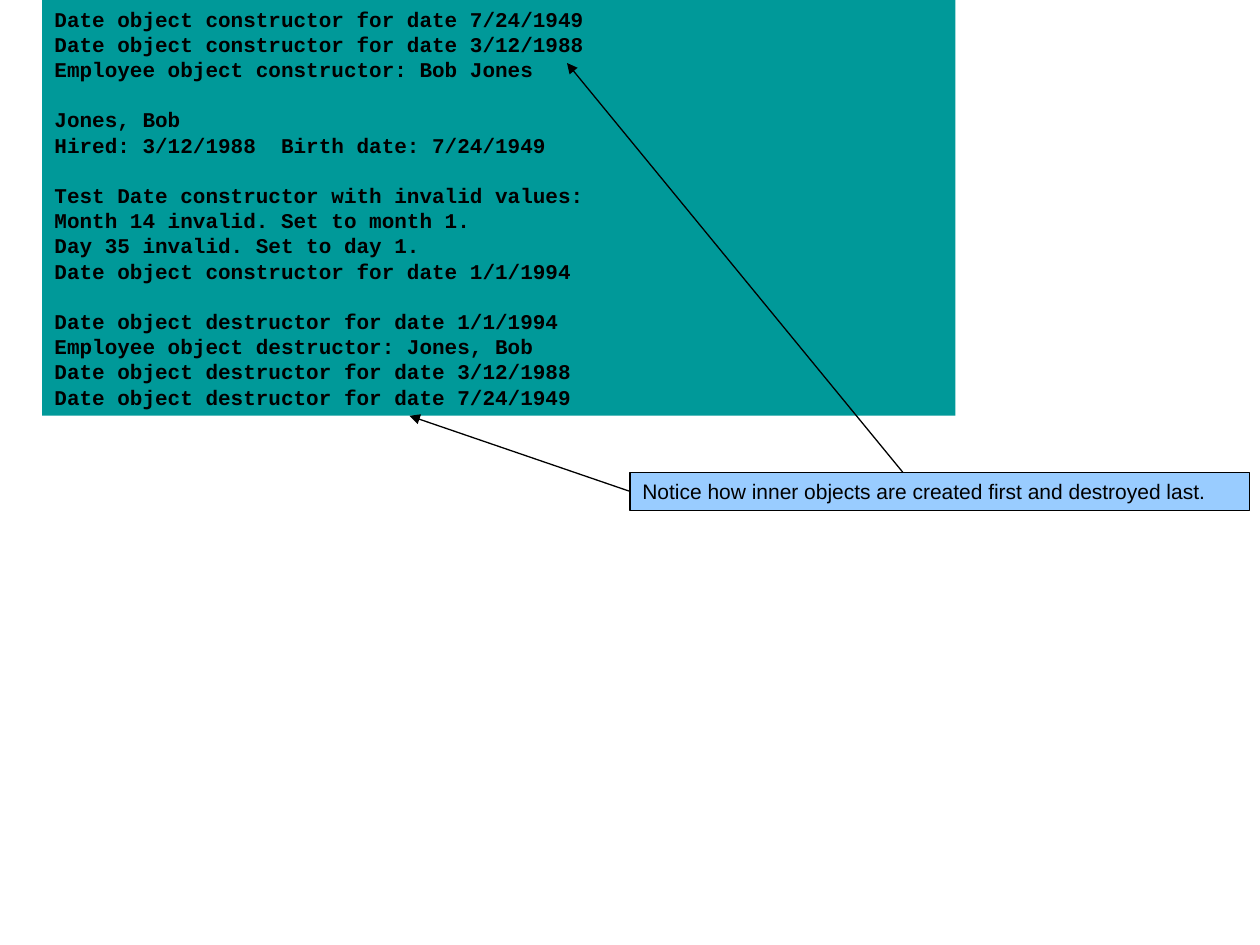
import pptx
import pptx.util
import pptx.dml.color
import pptx.enum.shapes
import pptx.enum.text
import pptx.oxml.ns
import lxml.etree

COLORS = {"output": "009999", "note": "99CCFF", "ink": "000000"}
COLS, ROWS = 120, 90
LINE_PITCH = 14.4
LEFT_SIDE = 1

OUTPUT_BLOCKS = [
    ["Date object constructor for date 7/24/1949",
     "Date object constructor for date 3/12/1988",
     "Employee object constructor: Bob Jones"],
    ["Jones, Bob",
     "Hired: 3/12/1988  Birth date: 7/24/1949"],
    ["Test Date constructor with invalid values:",
     "Month 14 invalid. Set to month 1.",
     "Day 35 invalid. Set to day 1.",
     "Date object constructor for date 1/1/1994"],
    ["Date object destructor for date 1/1/1994",
     "Employee object destructor: Jones, Bob",
     "Date object destructor for date 3/12/1988",
     "Date object destructor for date 7/24/1949"],
]
NOTE = "Notice how inner objects are created first and destroyed last."

prs = pptx.Presentation()
prs.slide_width = pptx.util.Inches(10)
prs.slide_height = pptx.util.Inches(7.5)


def col(n):
    return round(prs.slide_width * n / COLS)


def row(n):
    return round(prs.slide_height * n / ROWS)


def rgb(name):
    return pptx.dml.color.RGBColor.from_string(COLORS[name])


def add_panel(shapes, box, fill):
    left, top, width, height = box
    sp = shapes.add_shape(pptx.enum.shapes.MSO_SHAPE.RECTANGLE,
                          col(left), row(top), col(width), row(height))
    sp.shadow.inherit = False
    sp.fill.solid()
    sp.fill.fore_color.rgb = rgb(fill)
    sp.line.fill.background()
    tf = sp.text_frame
    tf.word_wrap = True
    tf.auto_size = pptx.enum.text.MSO_AUTO_SIZE.SHAPE_TO_FIT_TEXT
    tf.vertical_anchor = pptx.enum.text.MSO_ANCHOR.TOP
    return sp


def format_paragraph(p, font, bold):
    p.alignment = pptx.enum.text.PP_ALIGN.LEFT
    for r in p.runs:
        r.font.name = font
        r.font.size = pptx.util.Pt(12)
        r.font.bold = bold
        r.font.color.rgb = rgb("ink")


def outline(line):
    line.color.rgb = rgb("ink")
    line.width = pptx.util.Pt(0.75)


def add_arrow(shapes, start, end):
    arrow = shapes.add_connector(pptx.enum.shapes.MSO_CONNECTOR.STRAIGHT,
                                 col(start[0]), row(start[1]), col(end[0]), row(end[1]))
    outline(arrow.line)
    qn = pptx.oxml.ns.qn
    lxml.etree.SubElement(arrow.line._get_or_add_ln(), qn("a:tailEnd"), type="triangle")
    lxml.etree.SubElement(arrow._element.spPr, qn("a:effectLst"))
    return arrow


def add_output(s, box):
    tf = add_panel(s.shapes, box, "output").text_frame
    tf.text = "\n".join(line for block in OUTPUT_BLOCKS for line in block)
    for p in tf.paragraphs:
        format_paragraph(p, "Courier New", True)
        p.line_spacing = pptx.util.Pt(LINE_PITCH)
    start = 0
    for block in OUTPUT_BLOCKS[:-1]:
        start += len(block)
        tf.paragraphs[start].space_before = pptx.util.Pt(LINE_PITCH)


def add_note(s, box, output_bottom):
    left, top, width, height = box
    group = s.shapes.add_group_shape()
    sp = add_panel(group.shapes, box, "note")
    outline(sp.line)
    sp.text_frame.text = NOTE
    format_paragraph(sp.text_frame.paragraphs[0], "Arial", False)
    add_arrow(group.shapes, (left + 26, top), (left - 6, top - 39))
    destroyed = add_arrow(group.shapes, (left, top + height / 2), (left - 21, output_bottom))
    destroyed.begin_connect(sp, LEFT_SIDE)


def main():
    s = prs.slides.add_slide(prs.slide_layouts[6])
    output_box = (4, 0, 87, 39.6)
    add_output(s, output_box)
    add_note(s, (60, 45, 59, 3.6), output_box[1] + output_box[3])
    prs.save("out.pptx")


if __name__ == "__main__":
    main()
